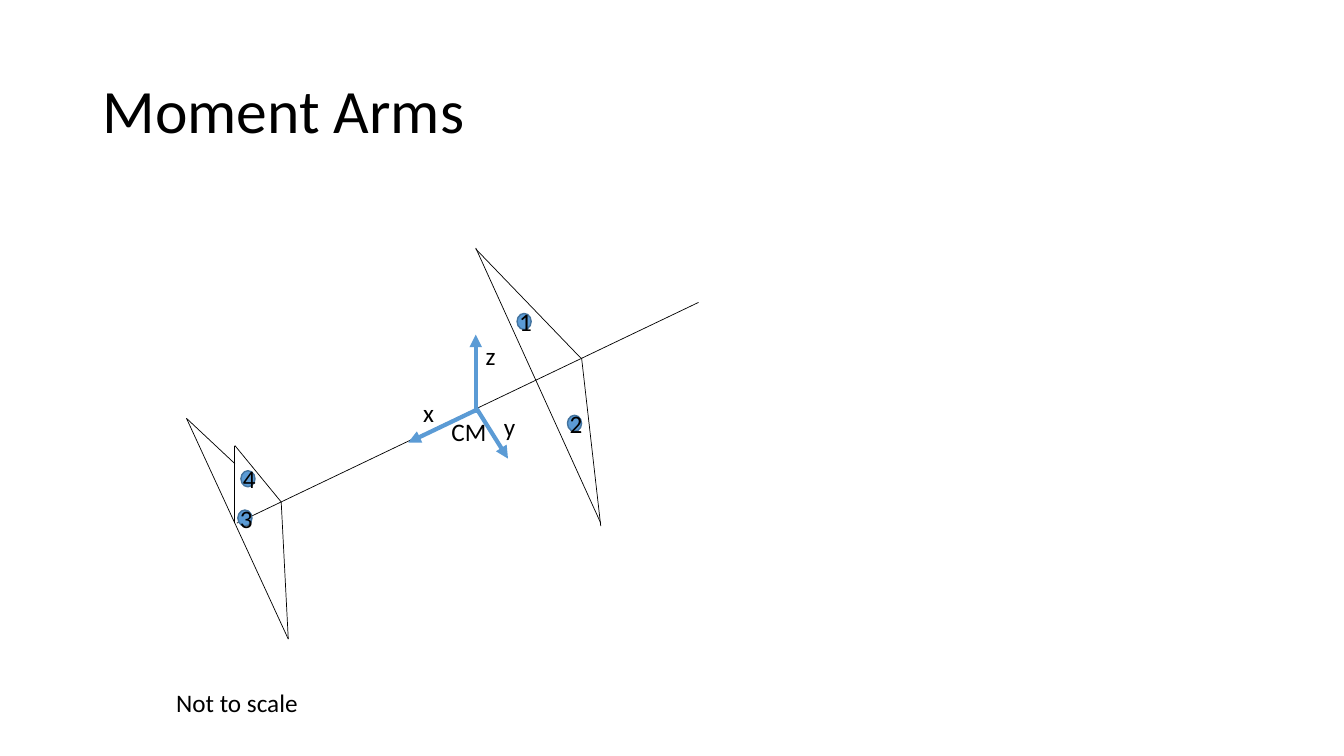
from typing import NamedTuple

from lxml import etree
from pptx import Presentation
from pptx.dml.color import RGBColor
from pptx.enum.shapes import MSO_CONNECTOR, MSO_SHAPE
from pptx.enum.text import MSO_ANCHOR, PP_ALIGN
from pptx.oxml.ns import qn
from pptx.util import Inches, Length, Pt

STRAIGHT = MSO_CONNECTOR.STRAIGHT
OVAL = MSO_SHAPE.OVAL
MIDDLE = MSO_ANCHOR.MIDDLE
TOP = MSO_ANCHOR.TOP
CENTER = PP_ALIGN.CENTER

COLORS = {"ink": "000000", "blue": "5B9BD5", "rim": "43739E", "paper": "FFFFFF"}
FONT = "Calibri"

# The slide is a grid of 40 columns by 22.5 rows of square cells.
COLS, ROWS = 40, 22.5
CELL = Inches(1) // 3
DOT_W, DOT_H = 0.42, 0.48
LABEL_H = 1.2


class Edge(NamedTuple):
    x1: float
    y1: float
    x2: float
    y2: float


class Label(NamedTuple):
    text: str
    x: float
    y: float
    w: float = 1.08
    h: float = LABEL_H
    size: int = 18
    anchor: MSO_ANCHOR = TOP
    spacing: float = 1.0


class Dot(NamedTuple):
    text: str
    x: float
    y: float


TITLE = Label("Moment Arms", 2.76, 1.2, 34.5, 4.35, 44, MIDDLE, 0.9)

BODY = [Edge(7.05, 15.57, 20.79, 9)]
WING = [
    Edge(14.16, 7.38, 17.88, 15.57),
    Edge(14.16, 7.41, 17.28, 10.65),
    Edge(17.31, 10.65, 17.88, 15.66),
]
TAIL = [
    Edge(5.55, 12.45, 8.58, 19.02),
    Edge(5.55, 12.45, 6.99, 13.8),
    Edge(8.37, 14.94, 8.58, 19.02),
]
FIN = [
    Edge(6.99, 13.26, 6.99, 15.57),
    Edge(6.99, 13.26, 8.37, 14.94),
]
AXES = [
    Edge(14.16, 12.3, 14.16, 9.96),
    Edge(14.16, 12.21, 12.15, 13.17),
    Edge(14.16, 12.12, 15.12, 13.65),
]
DOTS = [
    Dot("4", 7.17, 14.01),
    Dot("3", 7.08, 15.18),
    Dot("2", 16.89, 12.36),
    Dot("1", 15.39, 9.33),
]
LABELS = [
    Label("x", 12.3, 11.67),
    Label("y", 14.7, 12.09),
    Label("z", 14.16, 9.99),
    Label("CM", 13.14, 12.24, 1.86),
    Label("Not to scale", 4.95, 20.31, 4.89),
]


def grid(*cells: float) -> list[Length]:
    """Turn grid cells into slide lengths."""
    return [Length(round(cell * CELL)) for cell in cells]


def color(name: str) -> RGBColor:
    return RGBColor.from_string(COLORS[name])


def style_text(frame, size: int) -> None:
    for run in frame.paragraphs[0].runs:
        run.font.name = FONT
        run.font.size = Pt(size)
        run.font.color.rgb = color("ink")


def draw_edge(slide, edge: Edge, ink: str, width: float, arrow: bool) -> None:
    line = slide.shapes.add_connector(STRAIGHT, *grid(*edge))
    line.line.color.rgb = color(ink)
    line.line.width = Pt(width)
    props = line._element.spPr
    if arrow:
        etree.SubElement(props.find(qn("a:ln")), qn("a:tailEnd"), type="triangle")
    etree.SubElement(props, qn("a:effectLst"))


def draw_label(slide, label: Label) -> None:
    box = slide.shapes.add_textbox(*grid(label.x, label.y, label.w, label.h))
    frame = box.text_frame
    frame.word_wrap = True
    frame.vertical_anchor = label.anchor
    frame.text = label.text
    frame.paragraphs[0].line_spacing = label.spacing
    style_text(frame, label.size)


def draw_dot(slide, dot: Dot) -> None:
    oval = slide.shapes.add_shape(OVAL, *grid(dot.x, dot.y, DOT_W, DOT_H))
    oval.shadow.inherit = False
    oval.fill.solid()
    oval.fill.fore_color.rgb = color("blue")
    oval.line.color.rgb = color("rim")
    oval.line.width = Pt(1)
    frame = oval.text_frame
    frame.vertical_anchor = MIDDLE
    frame.text = dot.text
    frame.paragraphs[0].alignment = CENTER
    style_text(frame, 18)


def main() -> None:
    deck = Presentation()
    deck.slide_width, deck.slide_height = grid(COLS, ROWS)
    slide = deck.slides.add_slide(deck.slide_layouts[6])
    slide.background.fill.solid()
    slide.background.fill.fore_color.rgb = color("paper")

    draw_label(slide, TITLE)
    for edge in BODY + WING + TAIL + FIN:
        draw_edge(slide, edge, "ink", 0.5, False)
    for edge in AXES:
        draw_edge(slide, edge, "blue", 3, True)
    for dot in DOTS:
        draw_dot(slide, dot)
    for label in LABELS:
        draw_label(slide, label)
    deck.save("out.pptx")


if __name__ == "__main__":
    main()
